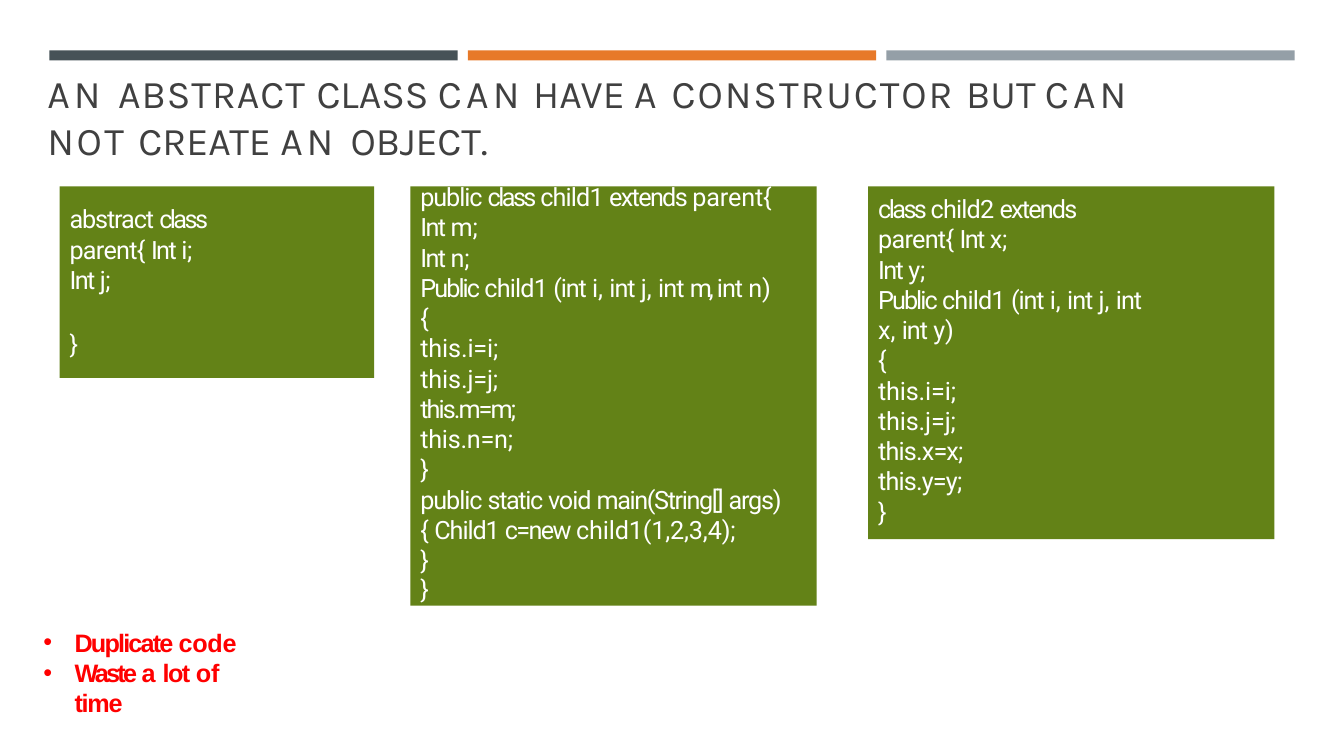
from lxml import etree
from pptx import Presentation
from pptx import util as u
from pptx.dml.color import RGBColor
from pptx.enum import shapes, text
from pptx.oxml import ns

WIDTH, HEIGHT = 13.33, 7.5
BAR_LEFT, BAR_TOP, BAR_WIDTH, BAR_HEIGHT, BAR_GAP = 0.49, 0.5, 4.05, 0.1, 0.1
CODE_TOP = 1.85
GREEN = "638217"
BREAK = ("\n", 0)
OPEN, CLOSE = [("{", -0.5)], [("}", -0.5)]


def color(hex_value):
    return RGBColor.from_string(hex_value)


def place(shape, left, top, width, height):
    shape.left, shape.top = u.Inches(left), u.Inches(top)
    shape.width, shape.height = u.Inches(width), u.Inches(height)


def add_box(slide, left, top, width, height, fill):
    box = slide.shapes.add_shape(
        shapes.MSO_SHAPE.RECTANGLE,
        u.Inches(left), u.Inches(top), u.Inches(width), u.Inches(height))
    box.shadow.inherit = False
    box.fill.solid()
    box.fill.fore_color.rgb = color(fill)
    box.line.fill.background()
    return box


def set_indent(paragraph, margin, hanging, bullet):
    properties = paragraph._p.get_or_add_pPr()
    properties.set("marL", str(u.Inches(margin)))
    properties.set("indent", str(u.Inches(-hanging)))
    if bullet:
        etree.SubElement(properties, ns.qn("a:buChar")).set("char", bullet)
    else:
        etree.SubElement(properties, ns.qn("a:buNone"))


def write(shape, lines, font="Roboto", size=18, fill="FFFFFF", bold=False,
          top=0, margin=0, hanging=0, bullet=None):
    frame = shape.text_frame
    frame.word_wrap = True
    frame.auto_size = text.MSO_AUTO_SIZE.NONE
    frame.vertical_anchor = text.MSO_ANCHOR.TOP
    frame.margin_left = frame.margin_right = frame.margin_bottom = 0
    frame.margin_top = u.Inches(top)
    for index, line in enumerate(lines):
        paragraph = frame.add_paragraph() if index else frame.paragraphs[0]
        set_indent(paragraph, margin, hanging, bullet)
        paragraph.alignment = text.PP_ALIGN.LEFT
        paragraph.space_before = u.Pt(0)
        for words, spacing in line:
            if words == "\n":
                paragraph.add_line_break()
                continue
            run = paragraph.add_run()
            run.text = words
            run.font.name, run.font.size, run.font.bold = font, u.Pt(size), bold
            run.font.color.rgb = color(fill)
            run._r.get_or_add_rPr().set("spc", str(round(spacing * 100)))
    return frame.paragraphs


def add_code(slide, left, width, height, lines, top=0):
    box = add_box(slide, left, CODE_TOP, width, height, GREEN)
    return write(box, lines, top=top, margin=0.1)


def field(name, spacing=-0.2):
    return [("Int ", -1.2), (name + ";", spacing)]


def constructor(third, fourth, spacing, wrap=()):
    return [("Public ", -1.4), ("child1 ", -0.6), ("(int ", -0.8), ("i, ", 0),
            ("int ", -0.7), ("j, ", 0), ("int ", -0.7), *wrap,
            (third + ", ", spacing), ("int ", -0.7), (fourth + ")", -0.2)]


def assignments(third, fourth, third_spacing, fourth_spacing):
    return [("this.i=i; ", -0.1), BREAK, ("this.j=j; ", -0.1), BREAK,
            (f"this.{third}={third}; ", third_spacing), BREAK,
            (f"this.{fourth}={fourth};", fourth_spacing)]


def add_bars(slide):
    for column, fill in enumerate(("465257", "E77929", "949FA7")):
        left = BAR_LEFT + column * (BAR_WIDTH + BAR_GAP)
        add_box(slide, left, BAR_TOP, BAR_WIDTH, BAR_HEIGHT, fill)


def add_title(slide):
    title = slide.shapes.title
    place(title, 0.47, 0.68, 11.66, 0.96)
    write(title, [[
        ("AN ", 2.9), ("ABSTRACT ", 0.7), ("CLASS ", 0), ("CAN", 3), (" HAVE ", 0),
        ("A ", 2.1), ("CONSTRUCTOR ", 1.4), ("BUT ", 0), ("CAN ", 3), ("NOT ", 1.8),
        ("CREATE ", 0), ("AN ", 2.8), ("OBJECT.", -0.1)]],
        font="Karla", size=28, fill="404040", top=0.01)


def add_classes(slide):
    parent = add_code(slide, 0.59, 3.12, 1.9, [
        [("abstract ", -0.8), ("class ", -1.8), BREAK, ("parent{ ", -0.5), *field("i")],
        field("j", -0.3),
        CLOSE], top=0.17)
    parent[-1].space_before = u.Pt(24)

    child1 = add_code(slide, 4.07, 4.03, 4.16, [
        [("public ", -0.8), ("class ", -1.8), ("child1 ", -0.6),
         ("extends ", -1.2), ("parent{", -0.1)],
        field("m"),
        field("n"),
        constructor("m", "n", -2.2),
        OPEN,
        assignments("m", "n", -1.4, -0.2),
        CLOSE,
        [("public ", -0.8), ("static ", -1), ("void ", -0.8), ("main(String[] ", -1),
         ("args) ", -0.9), BREAK, ("{ ", -0.5), ("Child1 ", -0.8), ("c=new ", -1.2),
         ("child1(1,2,3,4);", -0.1)],
        CLOSE,
        CLOSE])
    child1[0].line_spacing = u.Pt(18)
    for brace in child1[-2:]:
        brace.line_spacing = u.Pt(21.3)

    add_code(slide, 8.61, 4.03, 3.5, [
        [("class ", -1.8), ("child2 ", -0.6), ("extends ", -1.3), BREAK,
         ("parent{ ", -0.5), *field("x")],
        field("y"),
        constructor("x", "y", 0, wrap=[BREAK]),
        OPEN,
        assignments("x", "y", -0.6, -0.6),
        CLOSE], top=0.07)


def add_drawbacks(slide):
    drawbacks = slide.placeholders[1]
    place(drawbacks, 0.41, 6.21, 2.28, 0.63)
    write(drawbacks, [
        [("Duplicate ", -1.3), ("code", -0.2)],
        [("Waste ", -1.9), ("a ", 0), ("lot ", -1.1), ("of ", 0), BREAK, ("time", -0.9)]],
        font="Arial", fill="FF0000", bold=True, top=0.01,
        margin=0.33, hanging=0.31, bullet="•")


def main():
    presentation = Presentation()
    presentation.slide_width = u.Inches(WIDTH)
    presentation.slide_height = u.Inches(HEIGHT)
    slide = presentation.slides.add_slide(presentation.slide_layouts[1])
    add_bars(slide)
    add_title(slide)
    add_classes(slide)
    add_drawbacks(slide)
    presentation.save("out.pptx")


if __name__ == "__main__":
    main()
